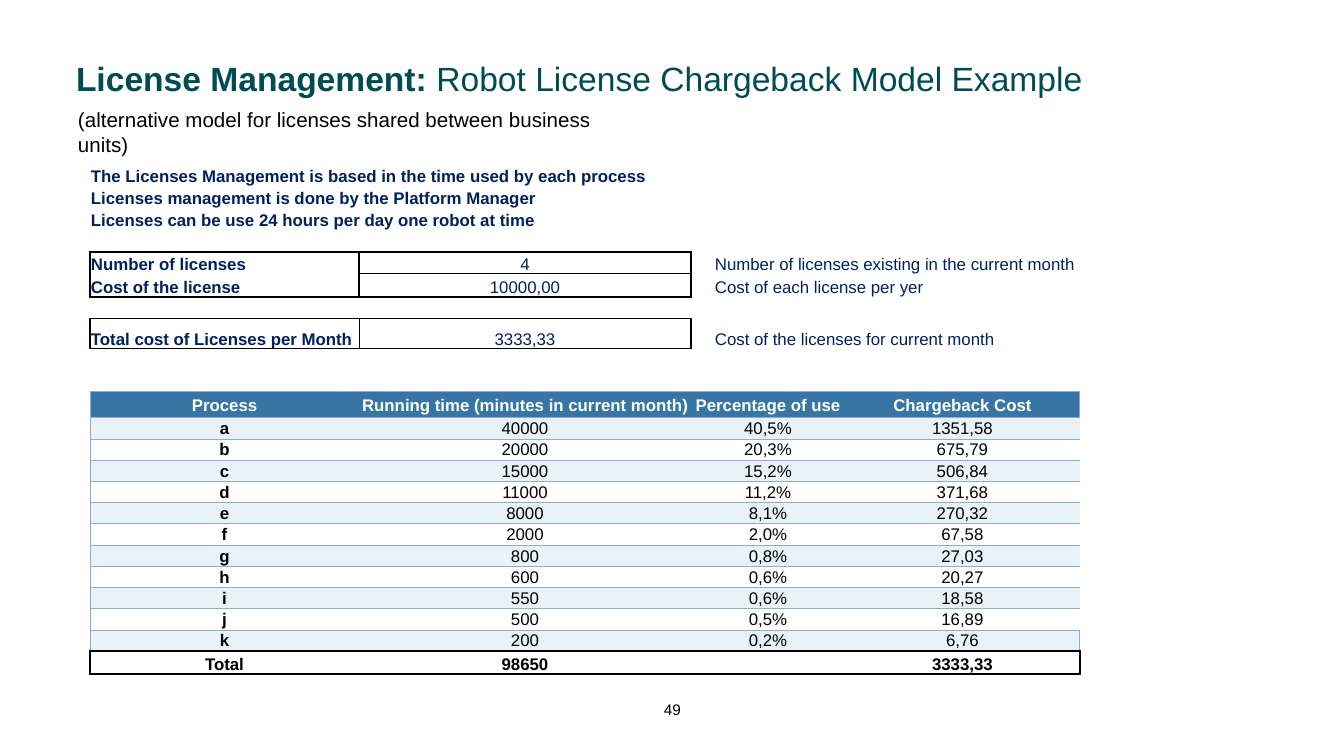
from dataclasses import dataclass

import lxml.etree
import pptx
import pptx.dml.color
import pptx.enum.text
import pptx.oxml.ns
import pptx.util

EMU_PER_PX = 914400 / 134.4
ALIGN = pptx.enum.text.PP_ALIGN
ANCHOR = pptx.enum.text.MSO_ANCHOR
NO_GRID_STYLE = "{2D5ABB26-0587-4C30-8999-92F81FD0307C}"


@dataclass(frozen=True)
class Theme:
    """Colours, font and type sizes of the slide."""
    font: str = "Arial"
    teal: str = "004C54"
    navy: str = "002060"
    black: str = "000000"
    white: str = "FFFFFF"
    header: str = "3675A4"
    band: str = "E9F2F7"
    grid: str = "8EA9DB"
    title: float = 18
    subtitle: float = 11
    body: float = 9
    number: float = 8.2


THEME = Theme()
FRAME = (THEME.black, 1)
THIN = (THEME.black, 0.5)
GRID = (THEME.grid, 0.5)

RULES = [
    "The Licenses Management is based in the time used by each process",
    "Licenses management is done by the Platform Manager",
    "Licenses can be use 24 hours per day one robot at time",
]
LICENSES = {
    4: ("Number of licenses", "4", "Number of licenses existing in the current month",
        dict(L=FRAME, R=FRAME, T=FRAME), dict(L=FRAME, R=FRAME, T=FRAME, B=THIN)),
    5: ("Cost of the license", "10000,00", "Cost of each license per yer",
        dict(L=FRAME, R=FRAME, B=FRAME), dict(L=FRAME, R=FRAME, T=THIN, B=FRAME)),
    7: ("Total cost of Licenses per Month", "3333,33", "Cost of the licenses for current month",
        dict(L=FRAME, R=THIN, T=FRAME, B=FRAME), dict(L=THIN, R=FRAME, T=FRAME, B=FRAME)),
}
SPACERS = {3: dict(B=FRAME), 6: dict(T=FRAME, B=FRAME), 8: dict(T=FRAME), 9: dict(B=GRID)}
HEADINGS = ["Process", "Running time (minutes in current month)", "Percentage of use", "Chargeback Cost"]
PROCESSES = [
    ("a", "40000", "40,5%", "1351,58"),
    ("b", "20000", "20,3%", "675,79"),
    ("c", "15000", "15,2%", "506,84"),
    ("d", "11000", "11,2%", "371,68"),
    ("e", "8000", "8,1%", "270,32"),
    ("f", "2000", "2,0%", "67,58"),
    ("g", "800", "0,8%", "27,03"),
    ("h", "600", "0,6%", "20,27"),
    ("i", "550", "0,6%", "18,58"),
    ("j", "500", "0,5%", "16,89"),
    ("k", "200", "0,2%", "6,76"),
]
TOTALS = ("Total", "98650", "", "3333,33")
HEADING_ROW = 10
COLUMN_WIDTHS = [269, 332, 154, 235]
ROW_HEIGHTS = [30, 22, 22, 22, 22, 23, 22, 30, 22, 21, 26] + [21] * len(PROCESSES) + [23]


def px(length):
    """Turn px into EMU."""
    return pptx.util.Emu(round(length * EMU_PER_PX))


def add_run(paragraph, wording, size, color, bold=False):
    """Append one styled run."""
    run = paragraph.add_run()
    run.text = wording
    run.font.name = THEME.font
    run.font.size = pptx.util.Pt(size)
    run.font.bold = bold
    run.font.color.rgb = pptx.dml.color.RGBColor.from_string(color)


def add_line(slide, box, runs, inset=(0, 0), anchor=ANCHOR.TOP):
    """Place a one-paragraph text box made of the given runs."""
    frame = slide.shapes.add_textbox(*map(px, box)).text_frame
    frame.word_wrap = True
    frame.vertical_anchor = anchor
    frame.margin_left = frame.margin_right = px(inset[0])
    frame.margin_top = frame.margin_bottom = px(inset[1])
    for run in runs:
        add_run(frame.paragraphs[0], *run)


def add_title(slide, box):
    """Place the slide title."""
    add_line(slide, box, [
        ("License Management: ", THEME.title, THEME.teal, True),
        ("Robot License Chargeback Model Example", THEME.title, THEME.teal),
    ], (13, 13), ANCHOR.BOTTOM)


def add_subtitle(slide, box):
    """Place the remark below the title."""
    wording = "(alternative model for licenses shared between business units)"
    add_line(slide, box, [(wording, THEME.subtitle, THEME.black)], (13, 7))


def add_page_number(slide, box):
    """Place the page number."""
    add_line(slide, box, [("49", THEME.number, THEME.black)])


def fill_cell(cell, wording="", color=THEME.navy, bold=False, align=ALIGN.CENTER,
              anchor=ANCHOR.BOTTOM, fill=None, edges=None, indent=1):
    """Write one cell with its borders and fill."""
    properties = cell._tc.get_or_add_tcPr()
    for side in "LRTB":
        edge_color, points = (edges or {}).get(side, (None, 0))
        line = lxml.etree.SubElement(properties, pptx.oxml.ns.qn("a:ln" + side), w=str(pptx.util.Pt(points)))
        paint = lxml.etree.SubElement(line, pptx.oxml.ns.qn("a:solidFill" if edge_color else "a:noFill"))
        if edge_color:
            lxml.etree.SubElement(paint, pptx.oxml.ns.qn("a:srgbClr"), val=edge_color)
    if fill:
        cell.fill.solid()
        cell.fill.fore_color.rgb = pptx.dml.color.RGBColor.from_string(fill)
    else:
        cell.fill.background()
    cell.margin_left, cell.margin_right = px(indent), px(1)
    cell.margin_top, cell.margin_bottom = px(1), 0
    cell.vertical_anchor = anchor
    paragraph = cell.text_frame.paragraphs[0]
    paragraph.alignment = align
    if wording:
        add_run(paragraph, wording, THEME.body, color, bold)
    else:
        paragraph._p.get_or_add_endParaRPr().set("sz", str(THEME.body * 100))


def fill_licenses(table):
    """Write the rules, the license figures and the rows between them."""
    for row, rule in enumerate(RULES):
        fill_cell(table.cell(row, 0), rule, bold=True, align=ALIGN.LEFT)
        for column in (1, 2, 3):
            fill_cell(table.cell(row, column))
        table.cell(row, 0).merge(table.cell(row, 1))
    for row, (label, figure, remark, label_edges, figure_edges) in LICENSES.items():
        fill_cell(table.cell(row, 0), label, bold=True, align=ALIGN.LEFT, edges=label_edges)
        fill_cell(table.cell(row, 1), figure, edges=figure_edges)
        fill_cell(table.cell(row, 2), remark, align=ALIGN.LEFT, edges=dict(L=FRAME), indent=24)
        fill_cell(table.cell(row, 3))
        table.cell(row, 2).merge(table.cell(row, 3))
    for row, edges in SPACERS.items():
        for column in range(4):
            fill_cell(table.cell(row, column), edges=edges if column < 2 or row == 9 else None)


def fill_chargeback(table):
    """Write the headings, the processes and the totals."""
    last = len(PROCESSES) - 1
    for column, heading in enumerate(HEADINGS):
        edges = dict(T=GRID, B=GRID)
        if column in (0, 3):
            edges["R" if column else "L"] = GRID
        fill_cell(table.cell(HEADING_ROW, column), heading, THEME.white, True,
                  anchor=ANCHOR.MIDDLE, fill=THEME.header, edges=edges)
    for index, process in enumerate(PROCESSES):
        for column, wording in enumerate(process):
            edges = dict(T=GRID, B=FRAME if index == last else GRID)
            if column == 0:
                edges["L"] = GRID
            elif column == 3 and index == last:
                edges["R"] = GRID
            fill_cell(table.cell(HEADING_ROW + 1 + index, column), wording, THEME.black, column == 0,
                      anchor=ANCHOR.MIDDLE, fill=None if index % 2 else THEME.band, edges=edges)
    for column, wording in enumerate(TOTALS):
        edges = dict(T=FRAME, B=FRAME)
        if column in (0, 3):
            edges["R" if column else "L"] = FRAME
        fill_cell(table.cell(len(ROW_HEIGHTS) - 1, column), wording, THEME.black, True, edges=edges)


def add_chargeback_table(slide, left, top):
    """Place the whole table with its top left corner at the given point."""
    size = sum(COLUMN_WIDTHS), sum(ROW_HEIGHTS)
    table = slide.shapes.add_table(len(ROW_HEIGHTS), 4, *map(px, (left, top, *size))).table
    table.first_row = table.horz_banding = False
    table._tbl.tblPr.find(pptx.oxml.ns.qn("a:tableStyleId")).text = NO_GRID_STYLE
    for column, width in zip(table.columns, COLUMN_WIDTHS):
        column.width = px(width)
    for row, height in zip(table.rows, ROW_HEIGHTS):
        row.height = px(height)
    fill_licenses(table)
    fill_chargeback(table)


def main():
    """Build and save the slide."""
    deck = pptx.Presentation()
    deck.slide_width, deck.slide_height = px(1344), px(756)
    slide = deck.slides.add_slide(deck.slide_layouts[6])
    add_page_number(slide, (664, 700, 27, 19))
    add_title(slide, (63, 44, 1214, 67))
    add_subtitle(slide, (65, 100, 580, 39))
    add_chargeback_table(slide, 90, 156)
    deck.save("out.pptx")


if __name__ == "__main__":
    main()
